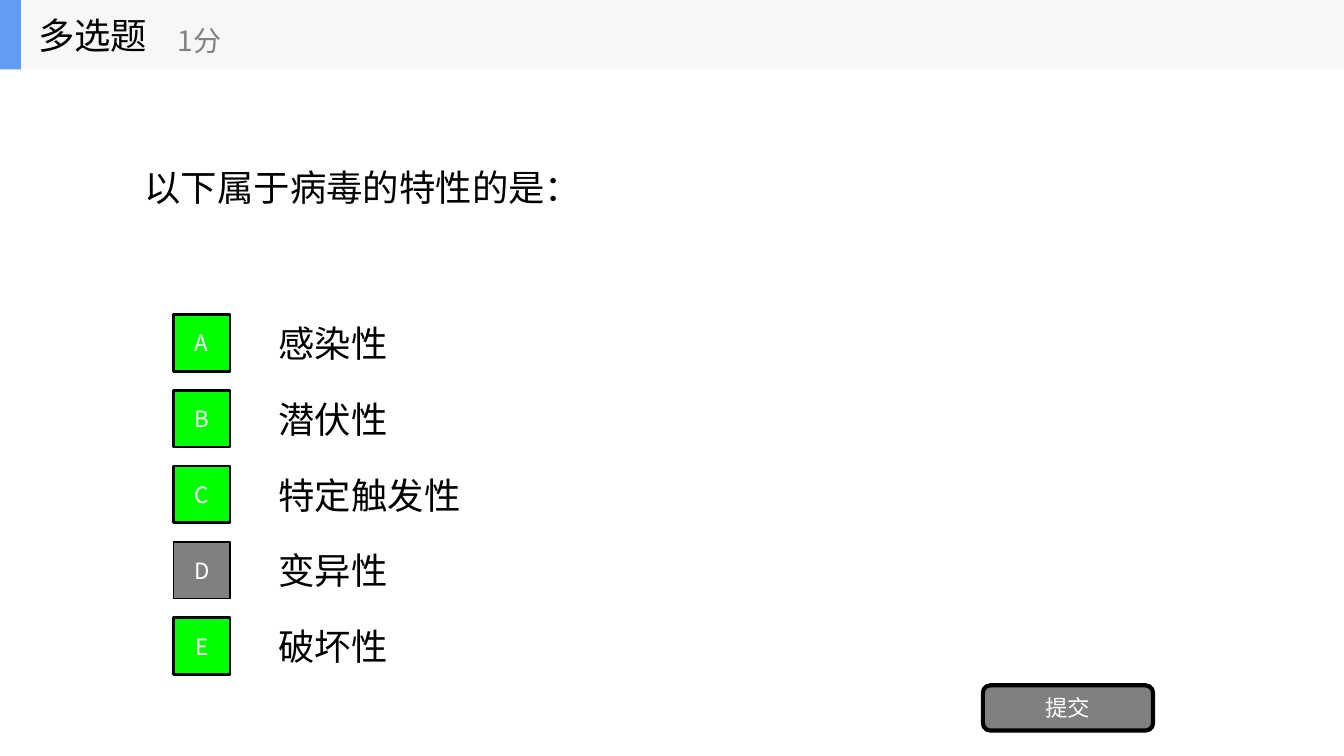
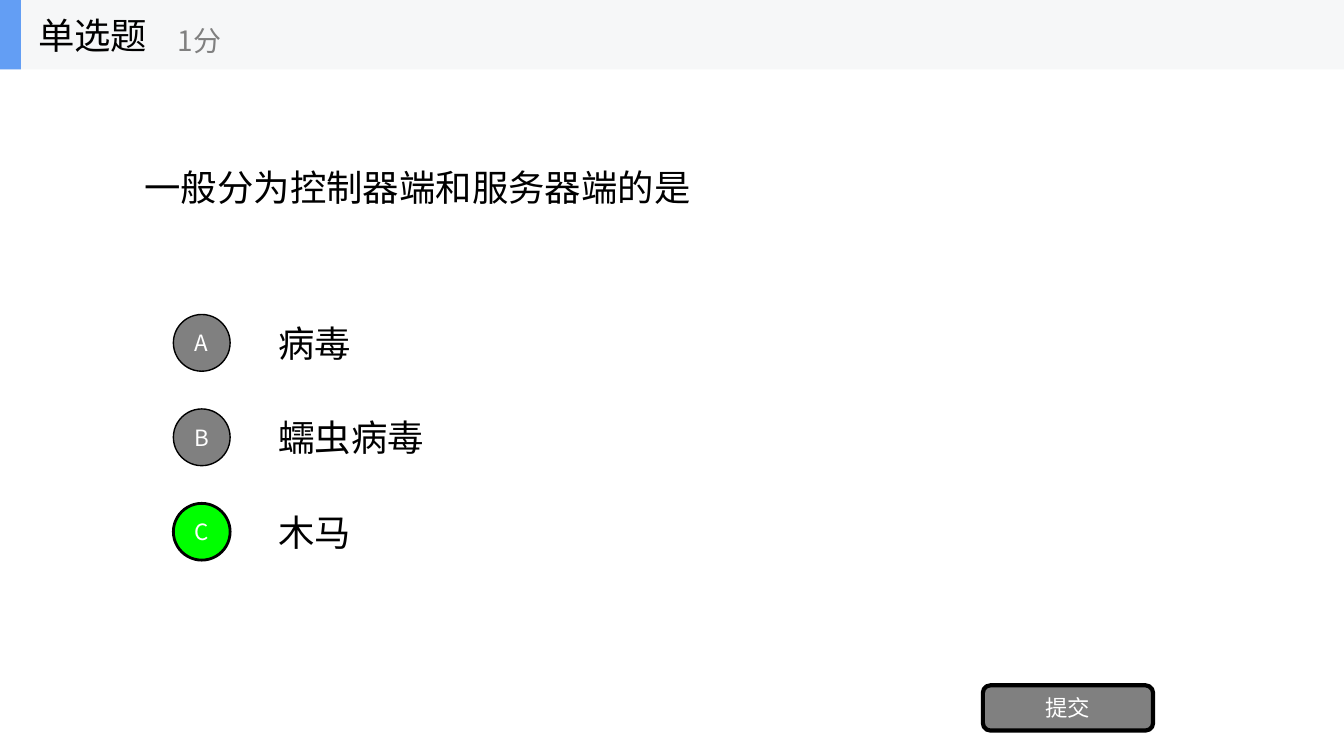
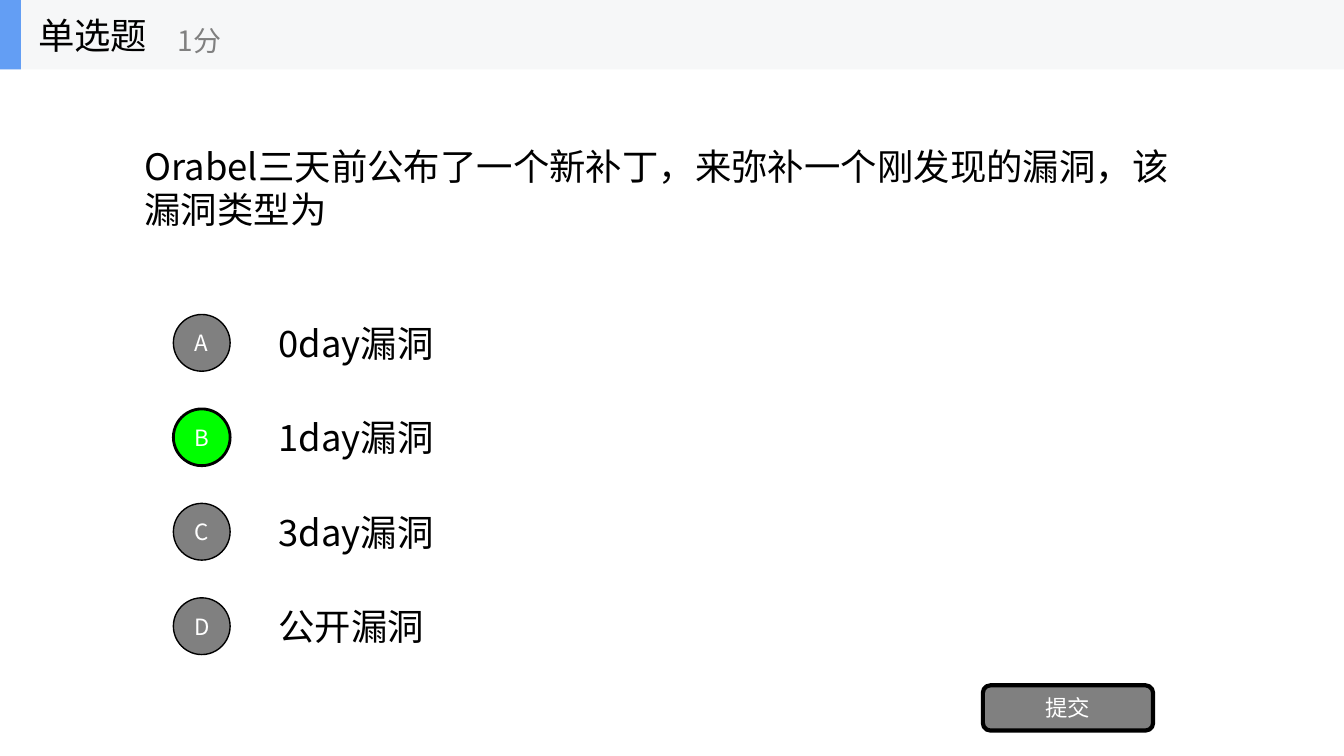
from lxml import etree
from pptx import Presentation
from pptx.dml.color import RGBColor
from pptx.enum import shapes, text
from pptx.oxml.ns import qn
from pptx.util import Cm, Pt

FONT = "Noto Sans CJK SC"
BLACK = RGBColor(0x00, 0x00, 0x00)
WHITE = RGBColor(0xFF, 0xFF, 0xFF)
GREY = RGBColor(0x80, 0x80, 0x80)
GREEN = RGBColor(0x00, 0xFF, 0x00)
BAND = RGBColor(0xF6, 0xF7, 0xF8)
ACCENT = RGBColor(0x63, 0x9E, 0xF4)

RECT = shapes.MSO_SHAPE.RECTANGLE
ROUND_RECT = shapes.MSO_SHAPE.ROUNDED_RECTANGLE
OVAL = shapes.MSO_SHAPE.OVAL
LEFT = text.PP_ALIGN.LEFT
CENTER = text.PP_ALIGN.CENTER

SLIDE_WIDTH, SLIDE_HEIGHT = 33.87, 19.05
HEADER_HEIGHT = 1.75
OPTION_TOP, OPTION_HEIGHT = 7.75, 1.78
MARKER_SIZE = 1.43

# Heading, question, marker shape, correct letters, options
QUESTIONS = [
    ("多选题", "以下属于病毒的特性的是：", RECT, "ABCE",
     ["感染性", "潜伏性", "特定触发性", "变异性", "破坏性"]),
    ("单选题", "一般分为控制器端和服务器端的是", OVAL, "C",
     ["病毒", "蠕虫病毒", "木马"]),
    ("单选题", "Orabel三天前公布了一个新补丁，来弥补一个刚发现的漏洞，该漏洞类型为", OVAL, "B",
     ["0day漏洞", "1day漏洞", "3day漏洞", "公开漏洞"]),
]


def write(shape, words, size, color, align):
    """Put one vertically centred paragraph into a shape."""
    frame = shape.text_frame
    frame.word_wrap = True
    frame.vertical_anchor = text.MSO_ANCHOR.MIDDLE
    para = frame.paragraphs[0]
    para.text = words
    para.alignment = align
    para.font.size = Pt(size)
    para.font.color.rgb = color
    para.font.name = FONT
    properties = para._p.get_or_add_pPr().get_or_add_defRPr()
    etree.SubElement(properties, qn("a:ea"), typeface=FONT)


def add_label(parent, left, top, width, height, words, size=26, color=BLACK):
    box = parent.add_textbox(Cm(left), Cm(top), Cm(width), Cm(height))
    write(box, words, size, color, LEFT)


def add_block(parent, kind, left, top, width, height, fill, line_width=0):
    block = parent.add_shape(kind, Cm(left), Cm(top), Cm(width), Cm(height))
    block.shadow.inherit = False
    block.fill.solid()
    block.fill.fore_color.rgb = fill
    if line_width:
        block.line.color.rgb = BLACK
        block.line.width = Pt(line_width)
    else:
        block.line.fill.background()
    return block


def add_header(slide, heading):
    header = slide.shapes.add_group_shape().shapes
    add_block(header, RECT, 0, 0, SLIDE_WIDTH, HEADER_HEIGHT, BAND)
    add_block(header, RECT, 0, 0, 0.53, HEADER_HEIGHT, ACCENT)
    add_label(header, 0.71, 0, 5.28, HEADER_HEIGHT, heading)
    add_label(header, 4.23, 0.3, 6.35, 1.43, "1分", 20, GREY)


def add_options(slide, marker_kind, correct, options):
    pitch = 1.91 if len(options) > 4 else 2.38
    inset = (OPTION_HEIGHT - MARKER_SIZE) / 2
    for index, (letter, option) in enumerate(zip("ABCDE", options)):
        top = OPTION_TOP + index * pitch
        add_label(slide.shapes, 6.77, top, 23.71, OPTION_HEIGHT, option)
        fill, line_width = (GREEN, 2) if letter in correct else (GREY, 1)
        marker = add_block(slide.shapes, marker_kind, 4.37, top + inset,
                           MARKER_SIZE, MARKER_SIZE, fill, line_width)
        write(marker, letter, 16, WHITE, CENTER)


def add_submit_button(slide):
    button = add_block(slide.shapes, ROUND_RECT, 24.77, 17.27, 4.29, 1.14, GREY, 3)
    write(button, "提交", 16, WHITE, CENTER)


def add_question_slide(deck, heading, question, marker_kind, correct, options):
    slide = deck.slides.add_slide(deck.slide_layouts[6])
    add_label(slide.shapes, 3.39, HEADER_HEIGHT, 27.1, 5.94, question)
    add_options(slide, marker_kind, correct, options)
    add_submit_button(slide)
    add_header(slide, heading)


def main():
    deck = Presentation()
    deck.slide_width = Cm(SLIDE_WIDTH)
    deck.slide_height = Cm(SLIDE_HEIGHT)
    for question in QUESTIONS:
        add_question_slide(deck, *question)
    deck.save("out.pptx")


if __name__ == "__main__":
    main()
